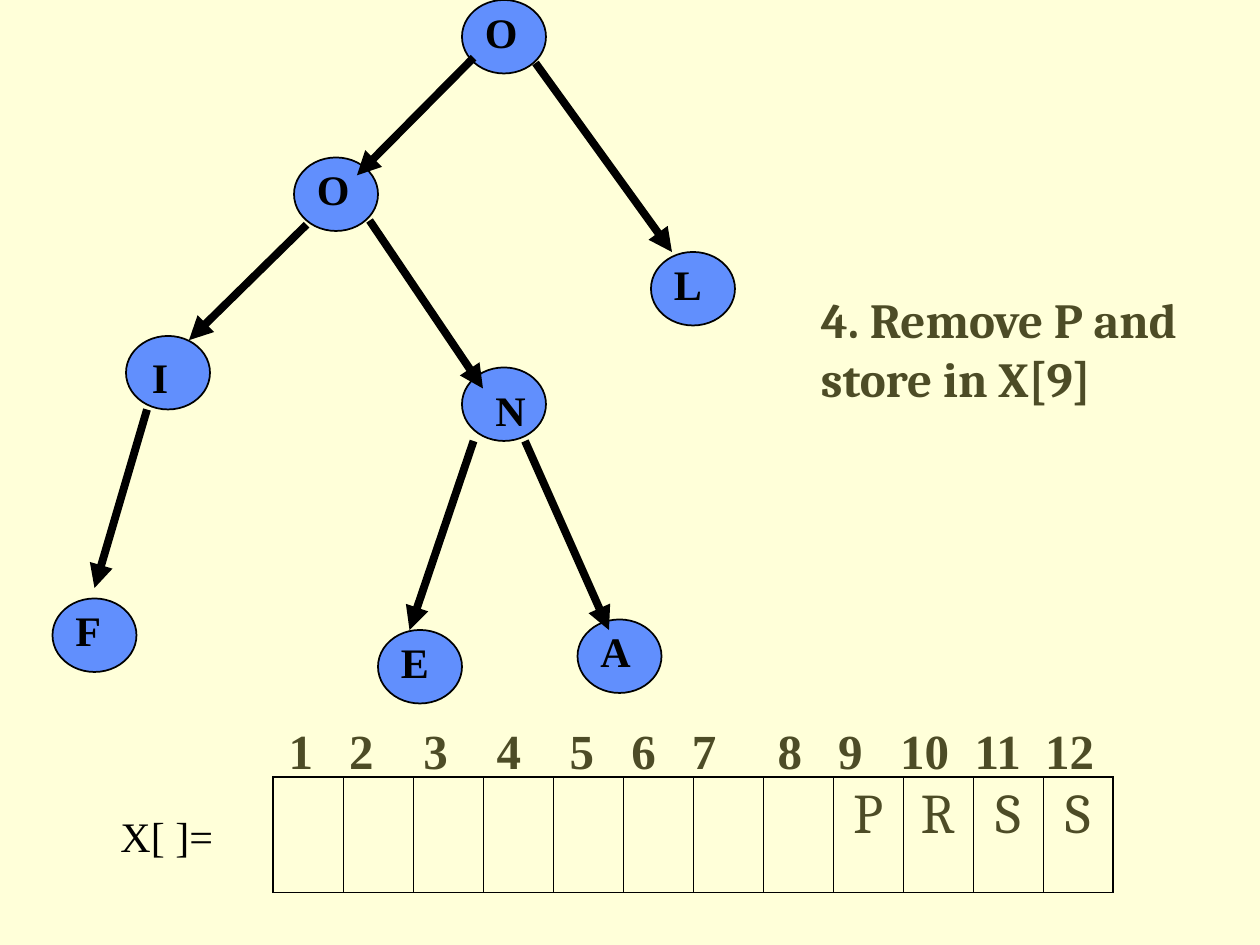
from typing import NamedTuple

from lxml.etree import SubElement
from pptx import Presentation
from pptx.dml.color import RGBColor
from pptx.enum.shapes import MSO_CONNECTOR, MSO_SHAPE
from pptx.enum.text import MSO_AUTO_SIZE, PP_ALIGN
from pptx.oxml.ns import qn
from pptx.util import Emu, Inches, Pt

BLACK, OLIVE, BLUE, CREAM = "000000", "4D4C26", "618FFD", "FFFFD9"
SERIF, BODY = "Times New Roman", "Cambria"
CELLS = 12
STORED = {9: "P", 10: "R", 11: "S", 12: "S"}
INDEX_TABS = [0.29, 0.77, 1.36, 1.94, 2.52, 3.01, 3.49, 4.17, 4.65, 5.24, 5.82, 6.39]


class Node(NamedTuple):
    label: str
    col: float
    row: float
    dx: float = 1  # label offset from the ellipse
    dy: float = 0


class Arrow(NamedTuple):
    x1: float
    y1: float
    x2: float
    y2: float


class Style(NamedTuple):
    size: float
    font: str
    color: str
    bold: bool = False


NODES = [
    Node("O", 44, 0),
    Node("O", 28, 15),
    Node("L", 62, 24),
    Node("I", 12, 32, 1.3, 0.9),
    Node("N", 44, 35, 2, 1),
    Node("F", 5, 57),
    Node("E", 36, 60),
    Node("A", 55, 59),
]
ARROWS = [
    Arrow(45.1, 5.5, 34, 16.7),
    Arrow(51, 6, 64, 24),
    Arrow(29.2, 21.4, 18, 32.4),
    Arrow(35.2, 21, 46, 37),
    Arrow(14, 39, 9, 56),
    Arrow(45.1, 42, 39, 60),
    Arrow(50, 42, 58, 60),
]


def g(n: float) -> Emu:
    """Length of n grid units; the slide is 120 columns by 90 rows."""
    return Inches(n / 12)


def rgb(color: str) -> RGBColor:
    return RGBColor.from_string(color)


def add_run(p, text: str, style: Style) -> None:
    r = p.add_run()
    r.text = text
    r.font.size, r.font.name, r.font.bold = Pt(style.size), style.font, style.bold
    r.font.color.rgb = rgb(style.color)


def add_text(s, text: str, x: float, y: float, w: float, h: float, style: Style):
    tf = s.shapes.add_textbox(g(x), g(y), g(w), g(h)).text_frame
    tf.word_wrap = True
    tf.auto_size = MSO_AUTO_SIZE.SHAPE_TO_FIT_TEXT
    p = tf.paragraphs[0]
    if text:
        add_run(p, text, style)
    return p


def add_ellipse(s, node: Node) -> None:
    sp = s.shapes.add_shape(MSO_SHAPE.OVAL, g(node.col), g(node.row), g(8), g(7))
    sp.shadow.inherit = False
    sp.fill.solid()
    sp.fill.fore_color.rgb = rgb(BLUE)
    sp.line.color.rgb = rgb(BLACK)
    sp.line.width = Pt(1)


def add_arrow(s, a: Arrow) -> None:
    cxn = s.shapes.add_connector(MSO_CONNECTOR.STRAIGHT, g(a.x1), g(a.y1), g(a.x2), g(a.y2))
    cxn.line.color.rgb = rgb(BLACK)
    cxn.line.width = Pt(4.5)
    SubElement(cxn.get_or_add_ln(), qn("a:tailEnd"), type="triangle")
    SubElement(cxn.get_or_add_ln().getparent(), qn("a:effectLst"))


def set_borders(cell, widths: dict[str, float]) -> None:
    tcPr = cell._tc.get_or_add_tcPr()
    for i, (side, width) in enumerate(widths.items()):
        ln = SubElement(tcPr, qn(f"a:ln{side}"), w=str(Pt(width)))
        SubElement(SubElement(ln, qn("a:solidFill")), qn("a:srgbClr"), val=BLACK)
        tcPr.insert(i, ln)


def add_array(s, x: float, y: float, w: float, h: float) -> None:
    table = s.shapes.add_table(1, CELLS, g(x), g(y), g(w), g(h)).table
    table.first_row = table.horz_banding = False
    outer, inner = 1.08, 0.45
    for i in range(1, CELLS + 1):
        table.columns[i - 1].width = g(w / CELLS)
        cell = table.cell(0, i - 1)
        cell.fill.background()
        set_borders(cell, {
            "L": outer if i == 1 else inner,
            "R": outer if i == CELLS else inner,
            "T": outer,
            "B": outer,
        })
        if i in STORED:
            p = cell.text_frame.paragraphs[0]
            p.alignment = PP_ALIGN.CENTER
            add_run(p, STORED[i], Style(32, BODY, OLIVE))


def add_indices(s, x: float, y: float, w: float, h: float) -> None:
    style = Style(28, SERIF, OLIVE, True)
    p = add_text(s, "", x, y, w, h, style)
    tabs = SubElement(p._p.get_or_add_pPr(), qn("a:tabLst"))
    for pos in INDEX_TABS:
        SubElement(tabs, qn("a:tab"), pos=str(Inches(pos)), algn="ctr")
    for i in range(1, CELLS + 1):
        add_run(p, f"\t{i}", style)


def main() -> None:
    prs = Presentation()
    prs.slide_width, prs.slide_height = g(120), g(90)
    s = prs.slides.add_slide(prs.slide_layouts[6])
    s.background.fill.solid()
    s.background.fill.fore_color.rgb = rgb(CREAM)

    for node in NODES:
        add_ellipse(s, node)
    for arrow in ARROWS:
        add_arrow(s, arrow)
    for node in NODES:
        add_text(s, node.label, node.col + node.dx, node.row + node.dy, 5, 6,
                 Style(24, SERIF, BLACK, True))

    add_text(s, "4. Remove P and store in X[9]", 77, 27, 40, 18, Style(28, BODY, OLIVE, True))
    add_indices(s, 24, 68, 83, 6.8)
    add_array(s, 26, 74, 80, 11)
    add_text(s, "X[ ]=", 10.3, 76.6, 19, 6, Style(24, SERIF, BLACK))
    prs.save("out.pptx")


if __name__ == "__main__":
    main()
